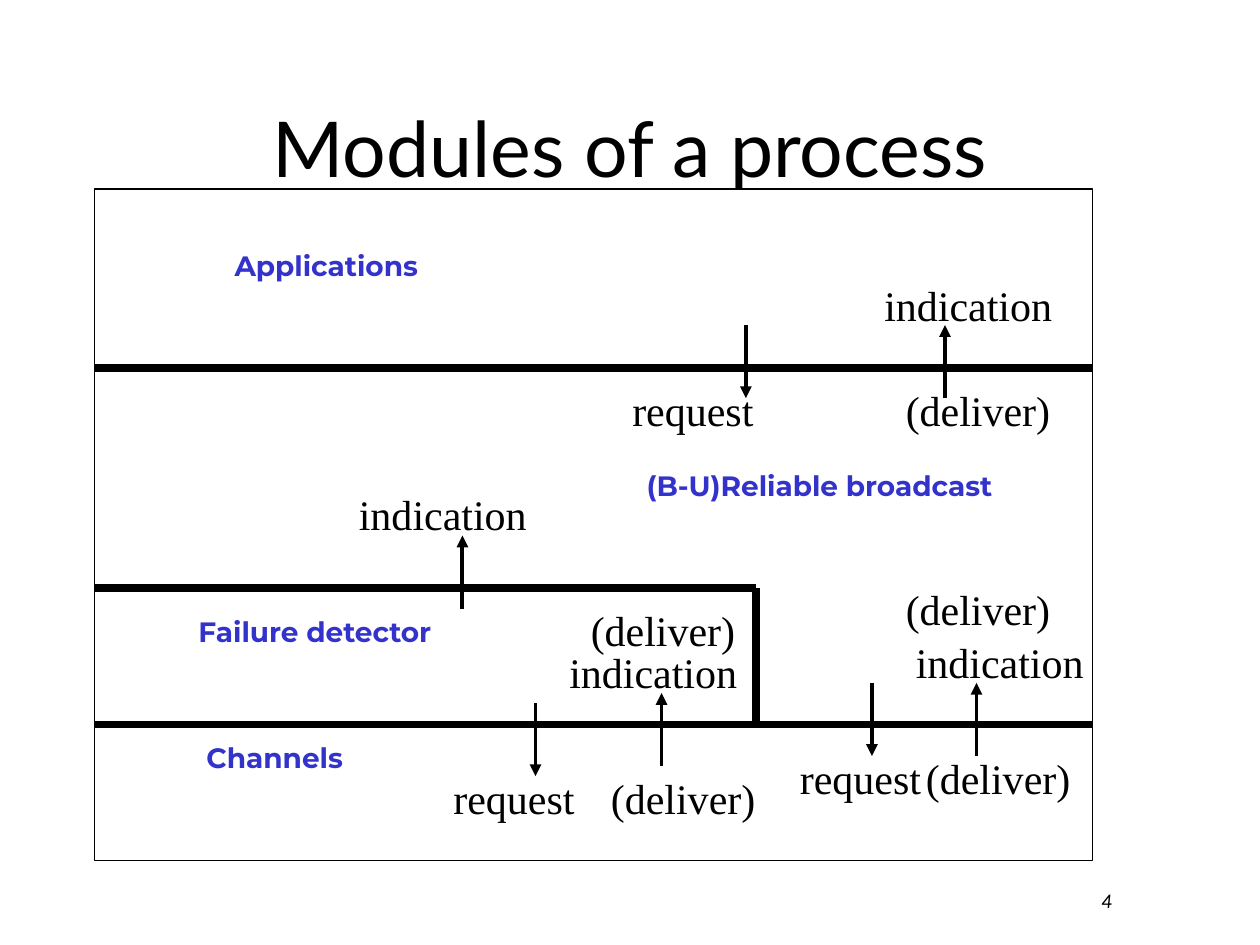
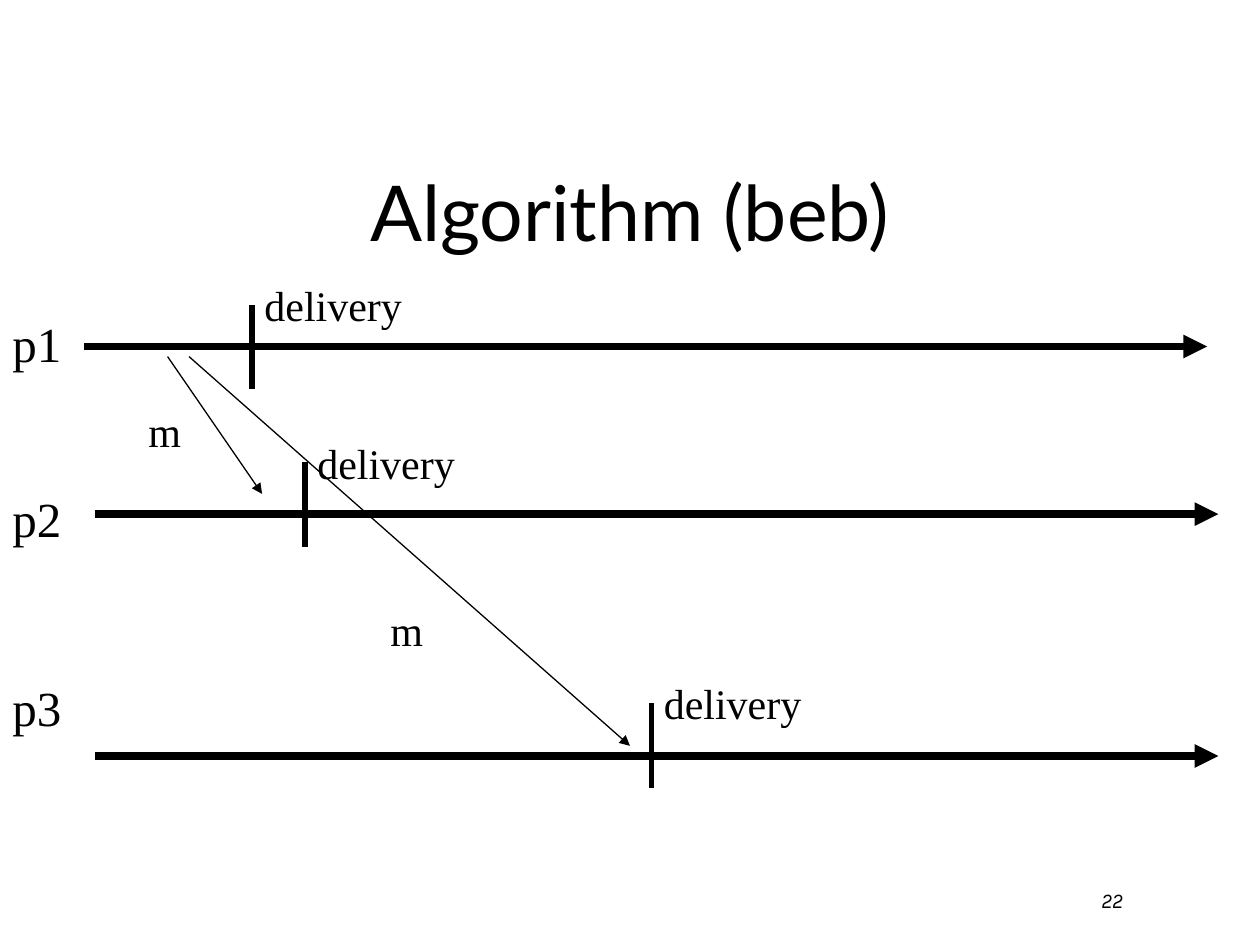
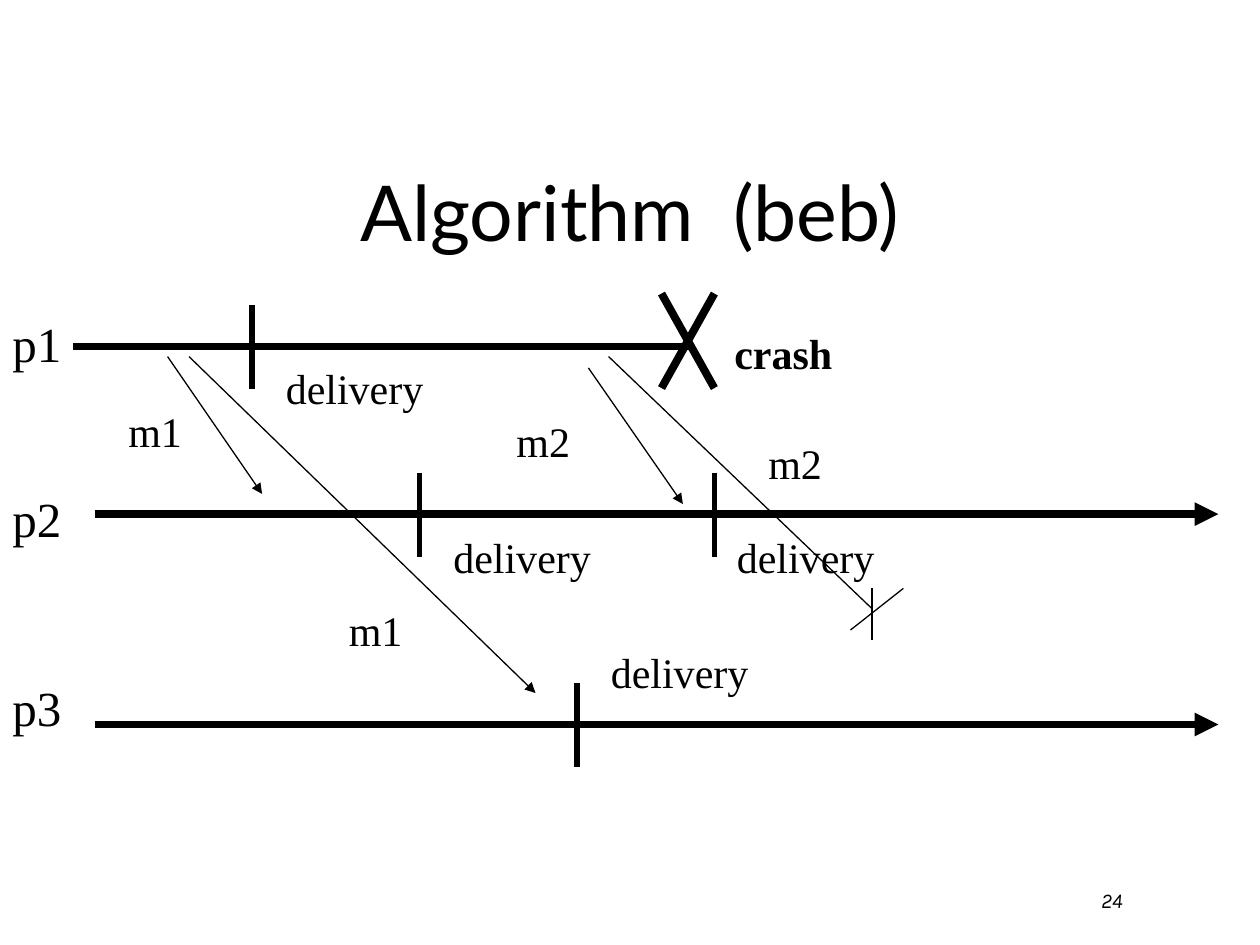
"""Build three slides on process modules and best-effort broadcast."""
from lxml.etree import SubElement
from pptx import Presentation
from pptx.dml.color import RGBColor
from pptx.enum.shapes import MSO_CONNECTOR, MSO_SHAPE
from pptx.enum.text import MSO_ANCHOR, MSO_AUTO_SIZE, PP_ALIGN
from pptx.oxml.ns import qn
from pptx.util import Inches, Pt

BLACK = RGBColor(0, 0, 0)
WHITE = RGBColor(0xFF, 0xFF, 0xFF)
BLUE = RGBColor(0x33, 0x33, 0xCC)

TITLE = {"name": "Lato", "size": Pt(44)}
NUMBER = {"name": "Karla", "size": Pt(12), "italic": True}
LAYER = {"name": "Montserrat", "size": Pt(16), "bold": True}
BODY = {"name": "Times New Roman", "size": Pt(24)}
CRASH = {**BODY, "bold": True}
PROCESS = {**BODY, "size": Pt(28)}

THICK, TICK, CALL, THIN = 4.5, 3, 2.25, 0.75
CALL_LENGTH, TICK_LENGTH = 0.58, 0.67
TEXT_WIDTHS = {"request": 1.16, "(deliver)": 1.35, "indication": 1.53,
               "delivery": 1.29, "m": 0.46, "m1": 0.63, "m2": 0.63}

FRAME = (0.75, 1.5, 7.92, 5.33)
BORDERS = [(0.75, 2.92, 8.67, 2.92), (0.75, 4.67, 6, 4.67),
           (6, 5.75, 6, 4.67), (0.75, 5.75, 8.67, 5.75)]
LAYERS = [("Applications", 1.33, 1.92, 2.52),
          ("(B-U)Reliable broadcast", 4.42, 3.67, 4.17),
          ("Failure detector", 1, 4.83, 3),
          ("Channels", 0.92, 5.83, 2.52)]
REQUESTS = [(5.92, 2.58), (6.92, 5.42), (4.25, 5.58)]
INDICATIONS = [(7.5, 2.58), (3.67, 4.25), (7.75, 5.42), (5.25, 5.5)]
CALL_TEXTS = [
    ("request", 4.92, 3), ("request", 6.25, 5.92), ("request", 3.5, 6.08),
    ("indication", 6.92, 2.17), ("indication", 2.75, 3.83),
    ("indication", 7.17, 5), ("indication", 4.42, 5.08),
    ("(deliver)", 7.09, 3), ("(deliver)", 7.09, 4.58), ("(deliver)", 7.25, 5.92),
    ("(deliver)", 4.59, 4.75), ("(deliver)", 4.75, 6.08)]

PROCESSES = [("p1", 2.44), ("p2", 3.83), ("p3", 5.33)]
RUNS = [
    {"title": "Algorithm (beb)", "number": 22,
     "timelines": [(0.67, 2.75, 9.58, 2.75), (0.75, 4.08, 9.67, 4.08), (0.75, 6, 9.67, 6)],
     "messages": [(1.33, 2.83, 2.08, 3.92), (1.5, 2.83, 5, 5.92)],
     "ticks": [(2, 2.42), (2.42, 3.67), (5.17, 5.58)],
     "texts": [("m", 1.08, 3.17), ("m", 3, 4.75), ("delivery", 2, 2.17),
               ("delivery", 2.42, 3.42), ("delivery", 5.17, 5.33)]},
    {"title": "Algorithm  (beb)", "number": 24,
     "timelines": [(0.75, 4.08, 9.67, 4.08), (0.75, 5.75, 9.67, 5.75)],
     "messages": [(1.33, 2.83, 2.08, 3.92), (1.5, 2.83, 4.25, 5.5), (4.67, 2.92, 5.42, 4)],
     "ticks": [(2, 2.42), (3.33, 3.75), (4.58, 5.42), (5.67, 3.75)],
     "texts": [("m1", 0.92, 3.17), ("m1", 2.67, 4.75, 0.79), ("m2", 4, 3.25, 0.88),
               ("m2", 6, 3.42), ("delivery", 2.17, 2.83, 1.33),
               ("delivery", 3.5, 4.17, 1.33), ("delivery", 5.75, 4.17, 1.33),
               ("delivery", 4.75, 5.08, 1.33)]},
]
CRASHED_LINES = [(0.58, 2.75, 5.5, 2.75), (5.67, 2.33, 5.25, 3.08), (5.25, 2.33, 5.67, 3.08)]
LOST_MESSAGE = [(4.83, 2.83, 6.92, 4.83), (7.17, 4.67, 6.75, 5), (6.92, 4.67, 6.92, 5.08)]


def add_text(s, text, box, style, color=BLACK, align=PP_ALIGN.LEFT,
             anchor=MSO_ANCHOR.TOP, wrap=True):
    tf = s.shapes.add_textbox(*map(Inches, box)).text_frame
    tf.word_wrap, tf.vertical_anchor = wrap, anchor
    if not wrap:
        tf.auto_size = MSO_AUTO_SIZE.SHAPE_TO_FIT_TEXT
    p = tf.paragraphs[0]
    p.alignment = align
    r = p.add_run()
    r.text = text
    for key, value in style.items():
        setattr(r.font, key, value)
    r.font.color.rgb = color


def add_texts(s, texts):
    for text, left, top, *width in texts:
        box = (left, top, width[0] if width else TEXT_WIDTHS[text], 0.5)
        add_text(s, text, box, BODY, wrap=bool(width))


def add_lines(s, lines, weight, arrow=False):
    for ends in lines:
        line = s.shapes.add_connector(MSO_CONNECTOR.STRAIGHT, *map(Inches, ends))
        line.line.color.rgb = BLACK
        line.line.width = Pt(weight)
        if arrow:
            SubElement(line.line._get_or_add_ln(), qn("a:tailEnd"), type="triangle")
        SubElement(line._element.spPr, qn("a:effectLst"))


def add_slide(prs, title, number, title_height=1.25):
    s = prs.slides.add_slide(prs.slide_layouts[6])
    add_text(s, str(number), (8.64, 7.06, 0.62, 0.17), NUMBER, anchor=MSO_ANCHOR.MIDDLE)
    add_text(s, title, (0.75, 0.84, 8.5, title_height), TITLE,
             align=PP_ALIGN.CENTER, anchor=MSO_ANCHOR.BOTTOM)
    return s


def add_modules(prs):
    s = add_slide(prs, "Modules of a process", 4, 0.74)
    frame = s.shapes.add_shape(MSO_SHAPE.RECTANGLE, *map(Inches, FRAME))
    frame.shadow.inherit = False
    frame.fill.solid()
    frame.fill.fore_color.rgb = WHITE
    frame.line.color.rgb = BLACK
    frame.line.width = Pt(THIN)
    add_lines(s, BORDERS, THICK)
    for text, left, top, width in LAYERS:
        add_text(s, text, (left, top, width, 0.71), LAYER, BLUE, PP_ALIGN.CENTER)
    add_lines(s, [(x, y, x, y + CALL_LENGTH) for x, y in REQUESTS], CALL, True)
    add_lines(s, [(x, y + CALL_LENGTH, x, y) for x, y in INDICATIONS], CALL, True)
    add_texts(s, CALL_TEXTS)


def add_broadcast(prs, run):
    s = add_slide(prs, run["title"], run["number"])
    add_lines(s, run["timelines"], THICK, True)
    add_lines(s, run["messages"], THIN, True)
    add_lines(s, [(x, y, x, y + TICK_LENGTH) for x, y in run["ticks"]], TICK)
    for name, top in PROCESSES:
        add_text(s, name, (0, top, 0.59, 0.57), PROCESS, wrap=False)
    add_texts(s, run["texts"])
    return s


def main():
    prs = Presentation()
    prs.slide_width, prs.slide_height = Inches(10), Inches(7.5)
    add_modules(prs)
    for run in RUNS:
        s = add_broadcast(prs, run)
    add_lines(s, CRASHED_LINES, THICK)
    add_lines(s, LOST_MESSAGE, THIN)
    add_text(s, "crash", (5.73, 2.55, 0.98, 0.5), CRASH, wrap=False)
    prs.save("out.pptx")


if __name__ == "__main__":
    main()
